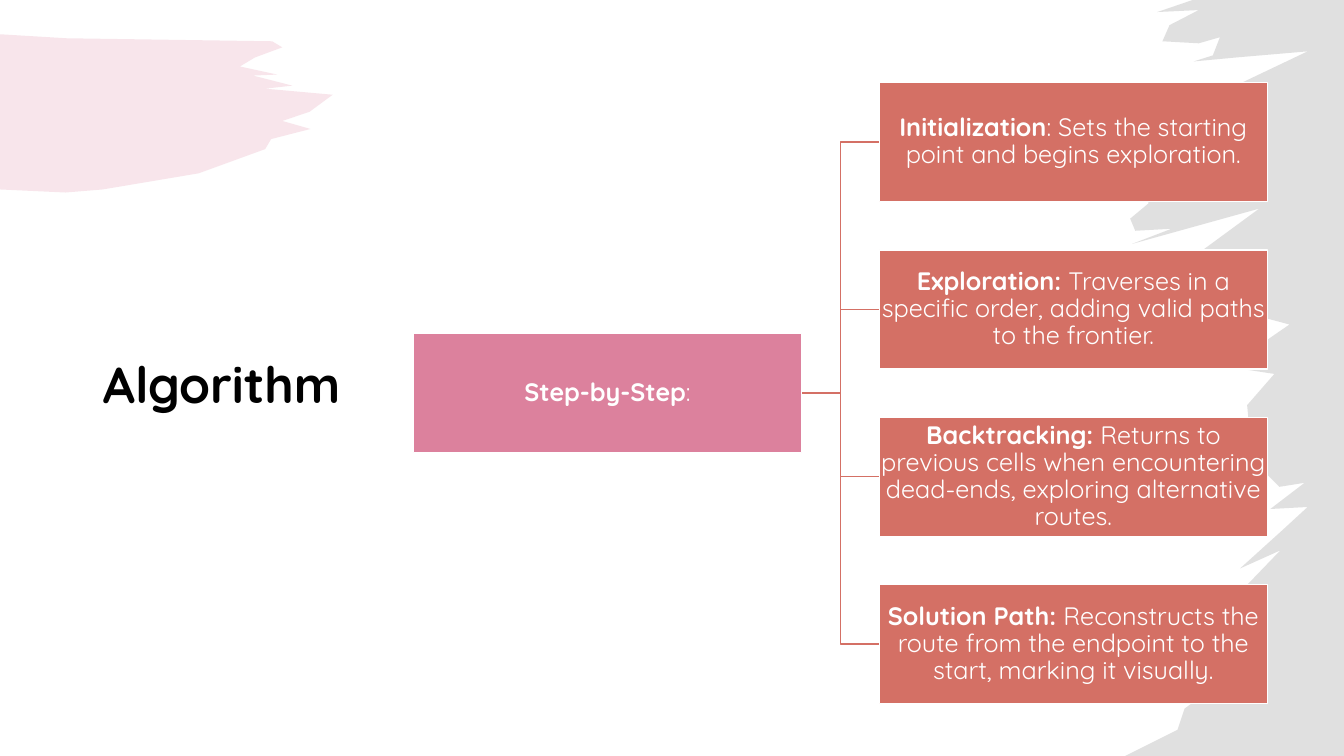
from lxml import etree
from pptx import Presentation
from pptx.dml.color import RGBColor
from pptx.enum.shapes import MSO_CONNECTOR as CONN, MSO_SHAPE as SHAPE
from pptx.enum.text import MSO_ANCHOR as ANCHOR, PP_ALIGN as ALIGN
from pptx.oxml.ns import qn
from pptx.util import Inches, Pt

FONT = "Quicksand"
PINK, CORAL, GREY, WHITE, BLACK = "DC819D", "D47065", "D9D9D9", "FFFFFF", "000000"


def paint(fill, color):
    """Give a fill a solid colour."""
    fill.solid()
    fill.fore_color.rgb = RGBColor.from_string(color)


prs = Presentation()
prs.slide_width, prs.slide_height = Inches(13.33), Inches(7.5)
s = prs.slides.add_slide(prs.slide_layouts[5])
paint(s.background.fill, WHITE)

# Brush strokes: outline points in inches, colour, opacity in percent
pink_stroke = [
    (0, 0.34), (0.66, 0.38), (2.7, 0.41), (2.8, 0.47), (2.53, 0.57), (2.38, 0.66),
    (2.75, 0.74), (2.51, 0.75), (2.9, 0.85), (2.63, 0.88), (3.3, 0.94), (3.07, 1.11),
    (2.8, 1.2), (3.08, 1.28), (2.69, 1.38), (2.63, 1.48), (1.97, 1.72), (1.02, 1.88),
    (0.65, 1.91), (0, 1.88),
]
grey_stroke = [
    (13.33, 0), (11.83, 0), (11.48, 0.12), (11.89, 0.1), (11.6, 0.25), (11.53, 0.41),
    (11.89, 0.43), (12.1, 0.37), (12.03, 0.55), (11.84, 0.61), (12.27, 0.57),
    (12.97, 0.51), (11.94, 1), (11.7, 1.33), (11.39, 1.75), (11.39, 2.02), (11.21, 2.17),
    (11.26, 2.29), (11.62, 2.27), (11.23, 2.42), (12.49, 2.07), (11.85, 2.54),
    (11.4, 2.75), (12.23, 2.79), (12.38, 3.11), (12.79, 3.22), (12.18, 3.64),
    (12.64, 3.71), (12.37, 4.02), (12.42, 4.56), (12.69, 4.83), (12.94, 4.79),
    (12.6, 5.05), (12.97, 5.03), (12.72, 5.26), (12.3, 5.64), (12.7, 5.46),
    (12.19, 5.99), (12, 6.34), (12.22, 6.29), (11.65, 6.78), (12.24, 6.67),
    (11.75, 7.03), (11.68, 7.24), (11.16, 7.5), (13.33, 7.5),
]
for points, color, opacity in ((pink_stroke, PINK, 20), (grey_stroke, GREY, 80)):
    outline = [(Inches(x), Inches(y)) for x, y in points]
    fb = s.shapes.build_freeform(*outline[0])
    fb.add_line_segments(outline[1:], close=True)
    sp = fb.convert_to_shape()
    sp.shadow.inherit = False
    sp.line.fill.background()
    paint(sp.fill, color)
    clr = sp._element.spPr.find(qn("a:solidFill"))[0]
    etree.SubElement(clr, qn("a:alpha"), val=str(opacity * 1000))

# Title, brought in front of the brush strokes
title = s.shapes.title
s.shapes._spTree.append(title._element)
title.left, title.top = Inches(0.92), Inches(1.64)
title.width, title.height = Inches(3.52), Inches(4.4)
tf = title.text_frame
tf.text = "Algorithm"
tf.word_wrap = True
tf.vertical_anchor = ANCHOR.MIDDLE
p = tf.paragraphs[0]
p.alignment, p.line_spacing = ALIGN.LEFT, 0.9
r = p.runs[0]
r.font.name, r.font.size, r.font.bold = FONT, Pt(36), True
paint(r.font.fill, BLACK)

# Diagram: one root box and a column of four steps
box_w, box_h = 3.85, 1.18
root_x, root_y = 4.1, 3.31
step_x, step_y, step_pitch = 8.72, 0.82, 1.66
steps = [
    ("Initialization", ": Sets the starting point and begins exploration."),
    ("Exploration: ", "Traverses in a specific order, adding valid paths to the frontier."),
    ("Backtracking: ", "Returns to previous cells when encountering dead-ends, "
                       "exploring alternative routes."),
    ("Solution Path: ", "Reconstructs the route from the endpoint to the start, "
                        "marking it visually."),
]
boxes = [(root_x, root_y, PINK, "Step-by-Step", ":")]
boxes += [(step_x, step_y + i * step_pitch, CORAL, *step) for i, step in enumerate(steps)]

# Elbow connectors from the root to each step
for x, y, *_ in boxes[1:]:
    cn = s.shapes.add_connector(
        CONN.ELBOW, Inches(root_x + box_w), Inches(root_y + box_h / 2),
        Inches(x), Inches(y + box_h / 2))
    cn.line.width = Pt(1)
    paint(cn.line.fill, CORAL)
    etree.SubElement(cn._element.spPr, qn("a:effectLst"))

# Boxes with a bold lead and plain text
for x, y, color, lead, rest in boxes:
    sp = s.shapes.add_shape(SHAPE.RECTANGLE, Inches(x), Inches(y), Inches(box_w), Inches(box_h))
    sp.shadow.inherit = False
    paint(sp.fill, color)
    paint(sp.line.fill, WHITE)
    sp.line.width = Pt(1)
    tf = sp.text_frame
    tf.word_wrap = True
    tf.vertical_anchor = ANCHOR.MIDDLE
    tf.margin_left = tf.margin_right = tf.margin_top = tf.margin_bottom = Inches(0.01)
    p = tf.paragraphs[0]
    p.alignment, p.line_spacing = ALIGN.CENTER, 0.9
    for text, bold in ((lead, True), (rest, False)):
        r = p.add_run()
        r.text = text
        r.font.name, r.font.size, r.font.bold = FONT, Pt(18), bold
        paint(r.font.fill, WHITE)

prs.save("out.pptx")
